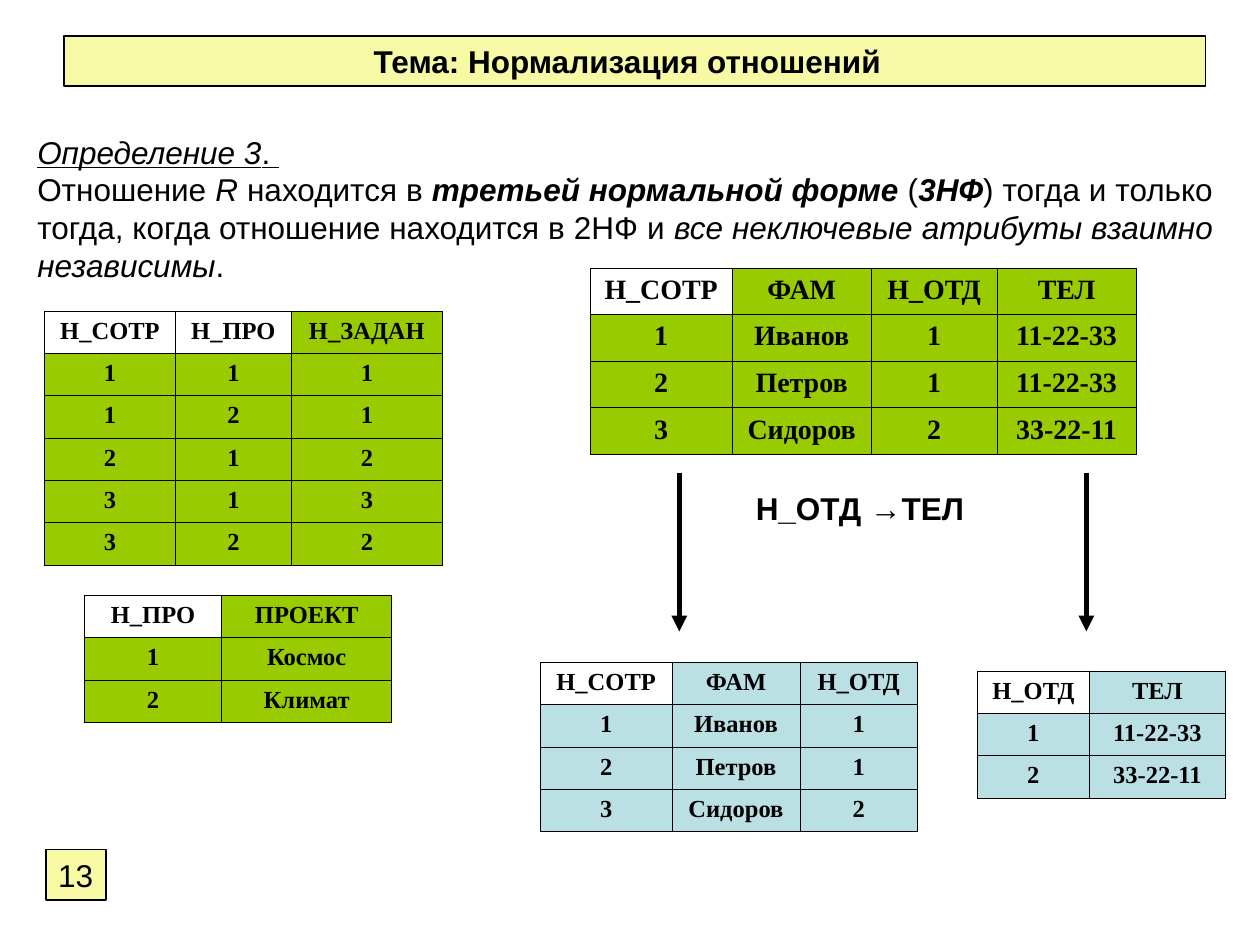
"""Builds the slide on the third normal form with its decomposed tables."""
from lxml.etree import SubElement
from pptx import Presentation
from pptx.dml.color import RGBColor
from pptx.enum.shapes import MSO_CONNECTOR as CONN, MSO_SHAPE as SHAPE
from pptx.enum.text import MSO_ANCHOR as ANCHOR, MSO_AUTO_SIZE as AUTO, PP_ALIGN as ALIGN
from pptx.oxml import parse_xml
from pptx.oxml.ns import nsdecls, qn
from pptx.util import Pt

BLACK = RGBColor(0x00, 0x00, 0x00)
WHITE = RGBColor(0xFF, 0xFF, 0xFF)
YELLOW = RGBColor(0xF7, 0xF9, 0xA5)
GREEN = RGBColor(0x99, 0xCC, 0x00)
BLUE = RGBColor(0xBB, 0xE0, 0xE3)


class SlideBuilder:
    """Holds the style and the current slide."""

    sans, serif, size = "Arial", "Times New Roman", 18

    def __init__(self, slide):
        self.slide = slide

    def style(self, p, font, size, align, bold=None):
        p.alignment = align
        f = p.font
        f.name, f.size, f.bold = font, Pt(size), bold
        f.color.rgb = BLACK

    def fill_text(self, tf, paragraphs, align, bold=None, wrap=True):
        tf.word_wrap = wrap
        tf.auto_size = AUTO.SHAPE_TO_FIT_TEXT
        for i, runs in enumerate(paragraphs):
            p = tf.add_paragraph() if i else tf.paragraphs[0]
            self.style(p, self.sans, self.size, align, bold)
            for text, marks in runs:
                r = p.add_run()
                r.text = text
                if "b" in marks:
                    r.font.bold = True
                if "i" in marks:
                    r.font.italic = True
                if "u" in marks:
                    r.font.underline = True

    def box(self, x, y, w, h, text, align, bold=None, wrap=True, right_inset=7.2):
        sp = self.slide.shapes.add_shape(SHAPE.RECTANGLE, Pt(x), Pt(y), Pt(w), Pt(h))
        sp.shadow.inherit = False
        sp.fill.solid()
        sp.fill.fore_color.rgb = YELLOW
        sp.line.color.rgb = BLACK
        sp.line.width = Pt(1)
        tf = sp.text_frame
        tf.vertical_anchor = ANCHOR.TOP
        tf.margin_right = Pt(right_inset)
        self.fill_text(tf, [[(text, "")]], align, bold, wrap)

    def text(self, x, y, w, h, paragraphs, bold=None, wrap=True):
        sp = self.slide.shapes.add_textbox(Pt(x), Pt(y), Pt(w), Pt(h))
        sp.text_frame.vertical_anchor = ANCHOR.MIDDLE
        self.fill_text(sp.text_frame, paragraphs, ALIGN.JUSTIFY, bold, wrap)

    def table(self, x, y, widths, row_height, rows, color, keys=1, size=14):
        frame = self.slide.shapes.add_table(
            len(rows), len(widths), Pt(x), Pt(y), Pt(sum(widths)), Pt(row_height * len(rows)))
        table = frame.table
        for column, width in zip(table.columns, widths):
            column.width = Pt(width)
        for i, values in enumerate(rows):
            table.rows[i].height = Pt(row_height)
            for j, value in enumerate(values.split()):
                cell = table.cell(i, j)
                p = cell.text_frame.paragraphs[0]
                p.add_run().text = value
                self.style(p, self.serif, size, ALIGN.CENTER, True)
                self.borders(cell)
                cell.fill.solid()
                cell.fill.fore_color.rgb = WHITE if i == 0 and j < keys else color

    def borders(self, cell):
        tc_pr = cell._tc.get_or_add_tcPr()
        for side in "LRTB":
            tc_pr.append(parse_xml(
                f'<a:ln{side} {nsdecls("a")} w="{Pt(0.45)}"><a:solidFill>'
                f'<a:srgbClr val="{BLACK}"/></a:solidFill></a:ln{side}>'))

    def arrow(self, x, top, bottom):
        c = self.slide.shapes.add_connector(CONN.STRAIGHT, Pt(x), Pt(top), Pt(x), Pt(bottom))
        c.line.color.rgb = BLACK
        c.line.width = Pt(3)
        SubElement(c.line._get_or_add_ln(), qn("a:tailEnd"), type="triangle")
        SubElement(c._element.spPr, qn("a:effectLst"))


def main():
    prs = Presentation()
    prs.slide_width, prs.slide_height = Pt(720), Pt(540)
    b = SlideBuilder(prs.slides.add_slide(prs.slide_layouts[6]))

    b.box(36.8, 20.4, 652.2, 28.9, "Тема: Нормализация отношений", ALIGN.CENTER, True,
          right_inset=15.8)
    b.box(26.2, 485.5, 34.3, 28.9, "13", ALIGN.LEFT, wrap=False)
    b.text(14.2, 72.2, 686, 93.6, [
        [("Определение 3", "iu"), (". ", "u")],
        [("Отношение ", ""), ("R ", "i"), ("находится в ", ""),
         ("третьей нормальной форме", "bi"), (" (", ""), ("3НФ", "bi"),
         (") тогда и только тогда, когда отношение находится в 2НФ и ", ""),
         ("все неключевые атрибуты взаимно независимы", "i"), (". ", "")],
    ])

    b.table(25.4, 177.8, [74.9, 66.2, 86.4], 24.2,
            ["Н_СОТР Н_ПРО Н_ЗАДАН", "1 1 1", "1 2 1", "2 1 2", "3 1 3", "3 2 2"],
            GREEN, keys=2)
    b.table(337.2, 153.2, [81.2, 79.4, 72, 79.4], 26.6,
            ["Н_СОТР ФАМ Н_ОТД ТЕЛ", "1 Иванов 1 11-22-33", "2 Петров 1 11-22-33",
             "3 Сидоров 2 33-22-11"], GREEN, size=16)
    b.table(48.2, 340.2, [78.5, 97.2], 24.2,
            ["Н_ПРО ПРОЕКТ", "1 Космос", "2 Климат"], GREEN)
    b.text(424.8, 275.8, 139, 28.8, [[("Н_ОТД →ТЕЛ ", "")]], bold=True, wrap=False)
    b.table(308.8, 378.5, [75.2, 73.2, 67], 24.2,
            ["Н_СОТР ФАМ Н_ОТД", "1 Иванов 1", "2 Петров 1", "3 Сидоров 2"], BLUE)
    b.table(558.5, 383.4, [64, 77.8], 24.2,
            ["Н_ОТД ТЕЛ", "1 11-22-33", "2 33-22-11"], BLUE)
    for x in (388.2, 620.8):
        b.arrow(x, 270, 360.8)

    prs.save("out.pptx")


if __name__ == "__main__":
    main()
